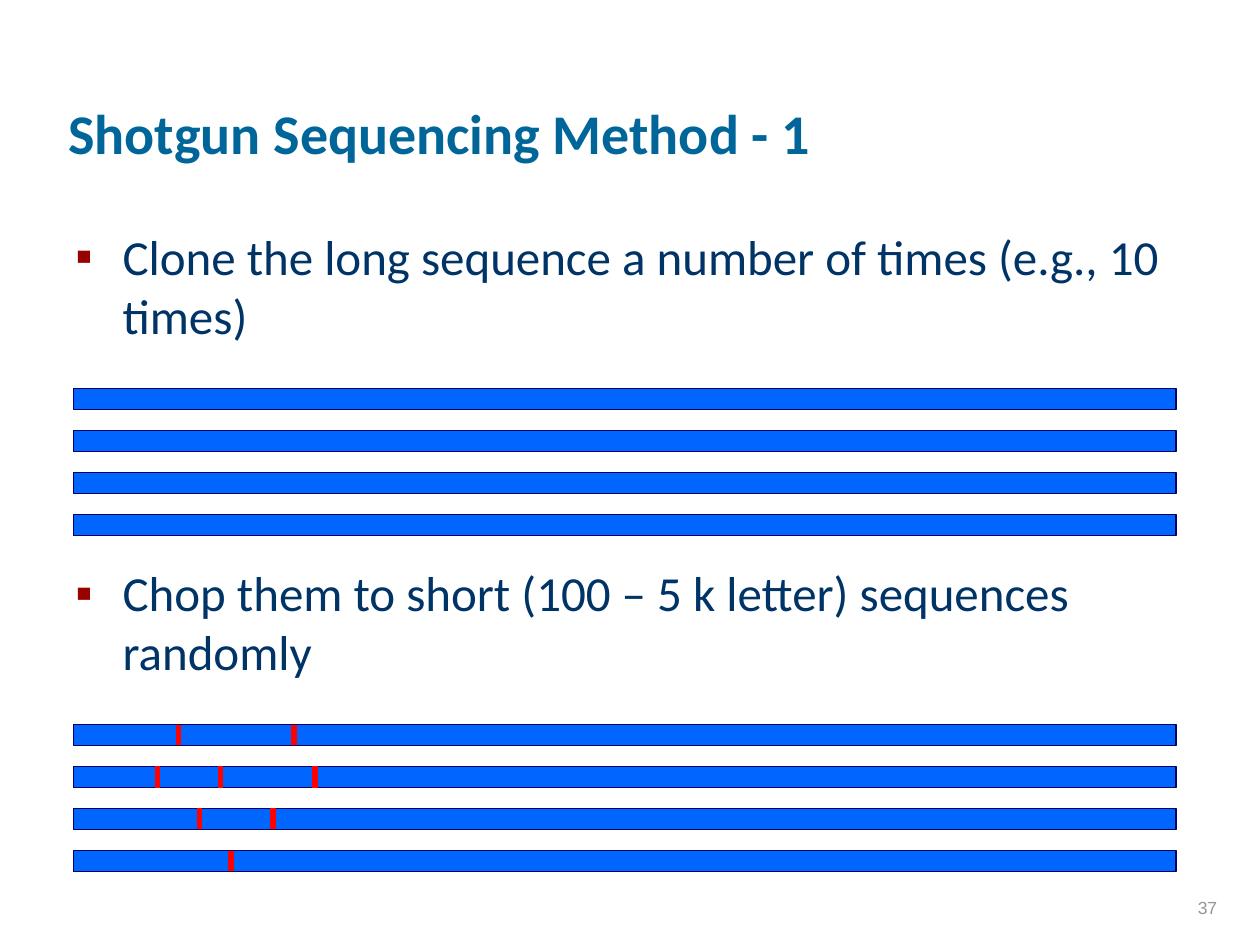
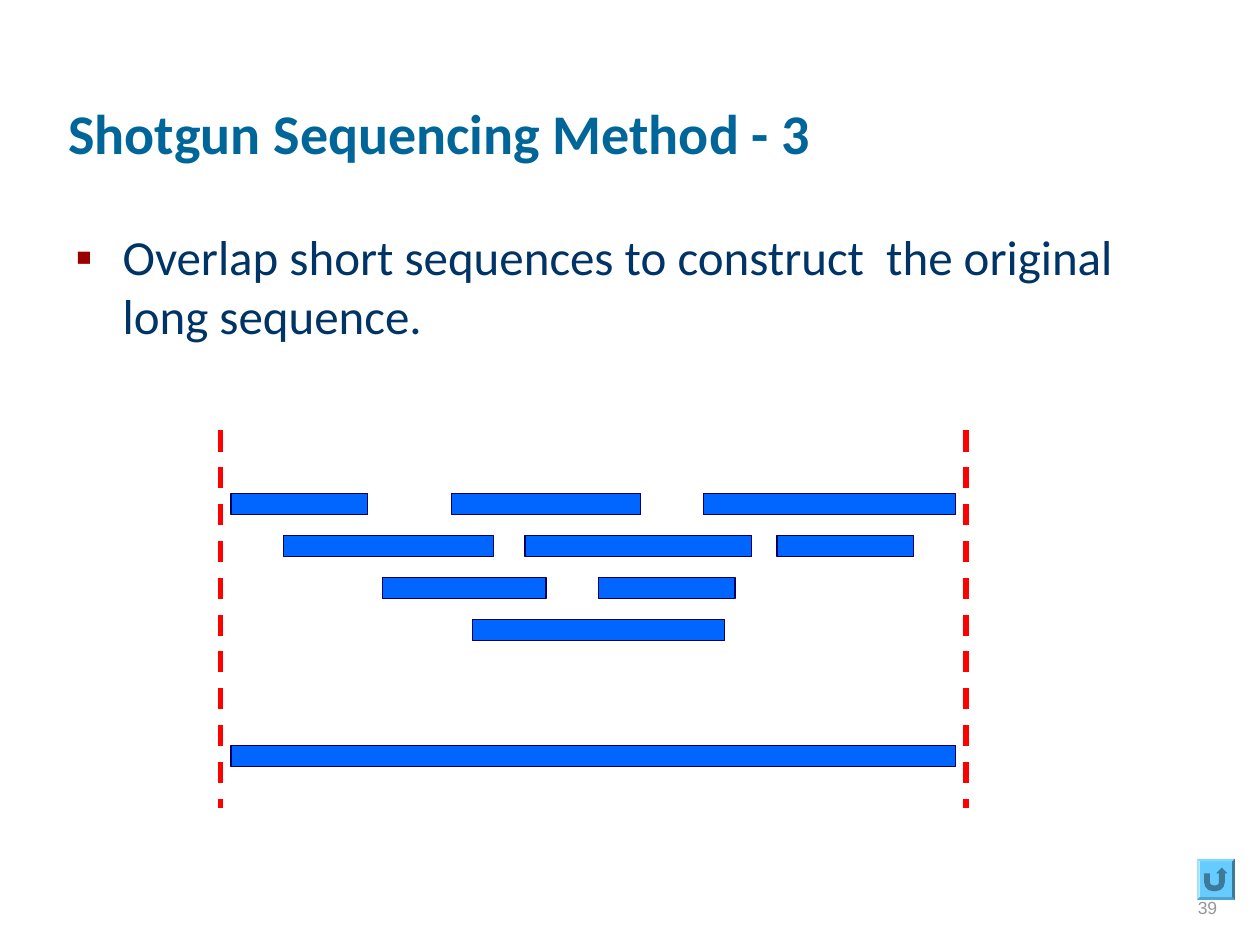
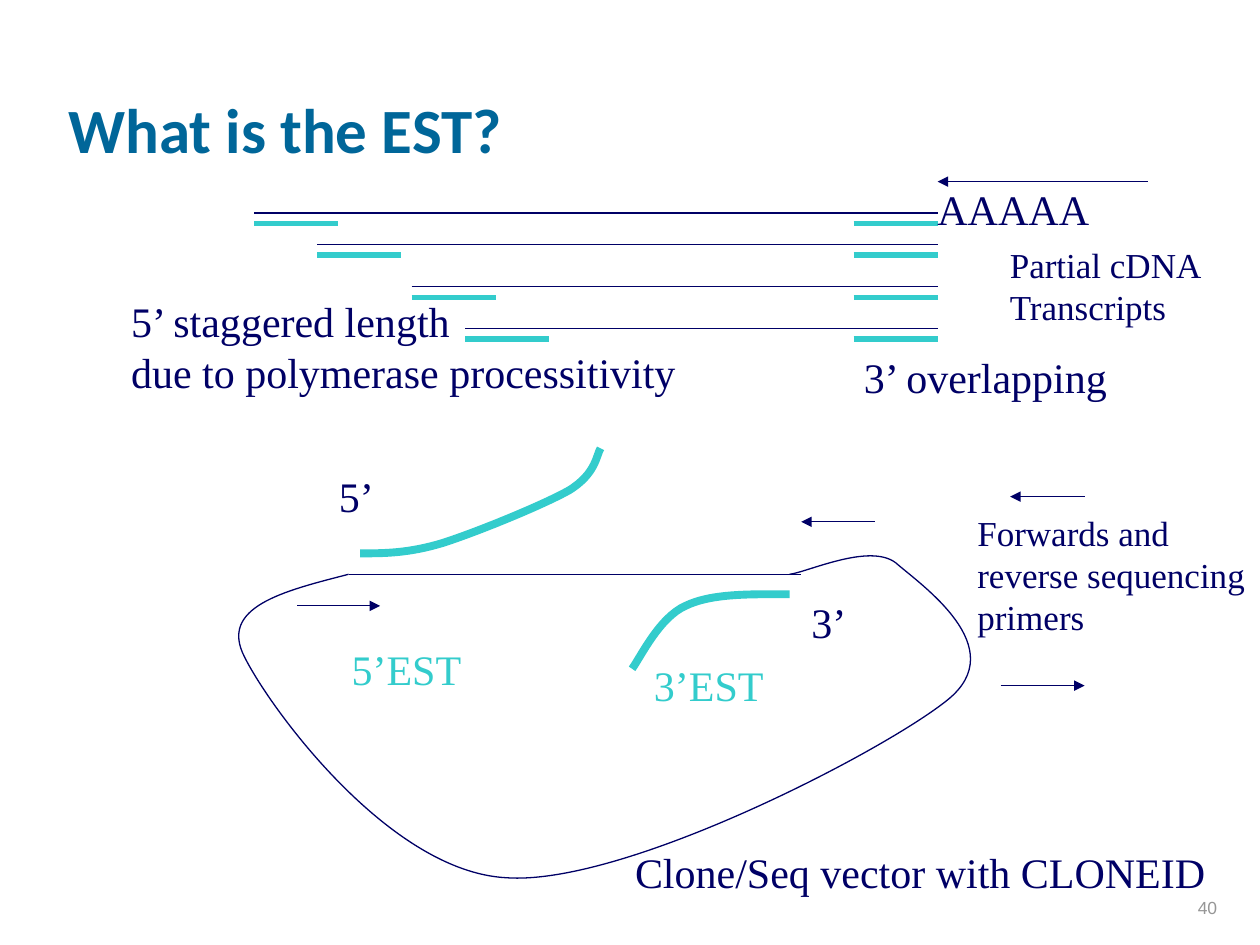
"""Build three slides on shotgun sequencing and expressed sequence tags."""
from dataclasses import dataclass
from typing import Any, NamedTuple, Optional

import lxml.etree
import pptx
import pptx.dml.color
import pptx.enum.dml
import pptx.enum.shapes
import pptx.enum.text
import pptx.oxml.ns
import pptx.util

PX = 7620
SHAPE = pptx.enum.shapes.MSO_SHAPE
ALIGN = pptx.enum.text.PP_ALIGN
ANCHOR = pptx.enum.text.MSO_ANCHOR
AUTO = pptx.enum.text.MSO_AUTO_SIZE
qn = pptx.oxml.ns.qn


@dataclass(frozen=True)
class Theme:
    """Colours, fonts, type sizes and line widths of the deck."""
    title: str = "006699"
    body: str = "003366"
    bullet: str = "990000"
    ink: str = "000066"
    strand: str = "0066FF"
    cut: str = "FF0000"
    tag: str = "33CCCC"
    button: str = "66CCFF"
    number: str = "969696"
    sans: str = "Calibri"
    serif: str = "Times New Roman"
    footer: str = "Arial"
    title_pt: int = 32
    big_title_pt: int = 36
    body_pt: int = 28
    label_pt: int = 24
    note_pt: int = 20
    number_pt: int = 10
    thin: float = 0.75
    thick: float = 3
    heavy: float = 4.5


class Box(NamedTuple):
    """Left, top, width and height in px."""
    x: int
    y: int
    w: int
    h: int


class Line(NamedTuple):
    """Straight line from one point to another in px."""
    x1: int
    y1: int
    x2: int
    y2: int


class Label(NamedTuple):
    """Serif text in a box on the EST slide."""
    box: Box
    text: str
    size: int
    color: str


class Transcript(NamedTuple):
    """Left end and height of one partial cDNA."""
    x: int
    y: int


T = Theme()
INSET = 12
STRAND_H = 20
ROW_STEP = 40
STRAND_X, STRAND_W = 70, 1050
CLONE_TOP, CHOP_TOP, OVERLAP_TOP = 370, 690, 470
CUTS = [[170, 280], [150, 210, 300], [190, 260], [220]]
FRAGMENTS = [
    [(220, 130), (430, 180), (670, 240)],
    [(270, 200), (500, 216), (740, 130)],
    [(364, 156), (570, 130)],
    [(450, 240)],
]
CDNA_RIGHT, TAG_W, TAG_DROP = 893, 80, 10
TRANSCRIPTS = [Transcript(242, 203), Transcript(302, 233),
               Transcript(392, 273), Transcript(443, 313)]
PRIMERS = [Line(283, 577, 362, 577), Line(833, 497, 763, 497),
           Line(1093, 173, 893, 173), Line(1033, 473, 962, 473),
           Line(953, 653, 1033, 653)]
VECTOR = [(332, 547), (270, 563), (208, 578), (233, 626),
          (258, 676), (371, 830), (482, 836),
          (594, 844), (841, 716), (902, 667),
          (965, 617), (877, 557), (853, 536),
          (828, 517), (769, 545), (752, 547)]
TAG_5 = [(343, 527), (366, 527), (389, 527), (422, 517),
         (456, 506), (517, 481), (542, 467),
         (568, 451), (568, 433), (572, 427)]
TAG_3 = [(752, 566), (715, 566), (678, 565), (653, 577),
         (628, 588), (610, 626), (602, 637)]
LABELS = [
    Label(Box(761, 562, 58, 60), "3’", T.label_pt, T.ink),
    Label(Box(311, 442, 58, 60), "5’", T.label_pt, T.ink),
    Label(Box(881, 169, 168, 60), "AAAAA", T.label_pt, T.ink),
    Label(Box(950, 226, 206, 92), "Partial cDNA\nTranscripts", T.note_pt, T.ink),
    Label(Box(611, 622, 128, 60), "3’EST", T.label_pt, T.tag),
    Label(Box(323, 607, 128, 60), "5’EST", T.label_pt, T.tag),
    Label(Box(593, 800, 566, 60), "Clone/Seq vector with CLONEID", T.label_pt, T.ink),
    Label(Box(919, 481, 278, 132), "Forwards and\nreverse sequencing\nprimers",
          T.note_pt, T.ink),
    Label(Box(811, 329, 258, 60), "3’ overlapping", T.label_pt, T.ink),
    Label(Box(113, 276, 542, 108),
          "5’ staggered length\ndue to polymerase processitivity", T.label_pt, T.ink),
]


def rgb(color: str) -> pptx.dml.color.RGBColor:
    """Turn a hex string into a colour."""
    return pptx.dml.color.RGBColor.from_string(color)


def emu(*lengths: int) -> list[int]:
    """Turn px into EMU."""
    return [n * PX for n in lengths]


def add_bullet(p: Any) -> None:
    """Give a paragraph a hanging square bullet."""
    pPr = p._p.get_or_add_pPr()
    pPr.set("marL", str(45 * PX))
    pPr.set("indent", str(-45 * PX))
    clr = lxml.etree.SubElement(pPr, qn("a:buClr"))
    lxml.etree.SubElement(clr, qn("a:srgbClr")).set("val", T.bullet)
    lxml.etree.SubElement(pPr, qn("a:buFont")).set("typeface", T.footer)
    lxml.etree.SubElement(pPr, qn("a:buChar")).set("char", "▪")


def write(sp: Any, text: str, *, size: int, color: str, font: str = T.sans,
          bold: bool = False, align: Any = ALIGN.LEFT, anchor: Any = ANCHOR.TOP,
          right_inset: int = INSET, bullet: bool = False) -> None:
    """Fill a shape with formatted text, one paragraph a line."""
    tf = sp.text_frame
    tf.text = text
    tf.word_wrap = True
    tf.auto_size = AUTO.NONE
    tf.vertical_anchor = anchor
    tf.margin_right = right_inset * PX
    for p in tf.paragraphs:
        p.alignment = align
        if bullet:
            add_bullet(p)
        for r in p.runs:
            r.font.name = font
            r.font.size = pptx.util.Pt(size)
            r.font.bold = bold
            r.font.color.rgb = rgb(color)


def add_text(s: Any, box: Box, text: str, **style: Any) -> None:
    """Add a text box."""
    write(s.shapes.add_textbox(*emu(*box)), text, **style)


def add_body(s: Any, box: Box, text: str) -> None:
    """Add a bulleted statement."""
    add_text(s, box, text, size=T.body_pt, color=T.body, bullet=True)


def add_slide(prs: Any, title: str, number: int, size: int = T.title_pt) -> Any:
    """Add a slide with its title and number."""
    s = prs.slides.add_slide(prs.slide_layouts[5])
    sp = s.shapes.title
    sp.left, sp.top, sp.width, sp.height = emu(53, 14, 1020, 150)
    write(sp, title, size=size, color=T.title, bold=True, anchor=ANCHOR.BOTTOM)
    add_text(s, Box(922, 820, 249, 60), str(number), size=T.number_pt,
             color=T.number, font=T.footer, align=ALIGN.RIGHT, anchor=ANCHOR.BOTTOM)
    return s


def add_shape(s: Any, kind: Any, box: Box, fill: str, line: Optional[str] = None) -> Any:
    """Add a filled preset shape."""
    sp = s.shapes.add_shape(kind, *emu(*box))
    sp.shadow.inherit = False
    sp.fill.solid()
    sp.fill.fore_color.rgb = rgb(fill)
    if line:
        sp.line.color.rgb = rgb(line)
        sp.line.width = pptx.util.Pt(T.thin)
    else:
        sp.line.fill.background()
    return sp


def add_strand(s: Any, x: int, y: int, w: int) -> None:
    """Add one sequence bar."""
    add_shape(s, SHAPE.RECTANGLE, Box(x, y, w, STRAND_H), T.strand, T.ink)


def add_line(s: Any, line: Line, color: str = T.ink, width: float = T.thin,
             dashed: bool = False, arrow: bool = False) -> None:
    """Add a straight line or arrow."""
    c = s.shapes.add_connector(pptx.enum.shapes.MSO_CONNECTOR.STRAIGHT, *emu(*line))
    c.line.color.rgb = rgb(color)
    c.line.width = pptx.util.Pt(width)
    if dashed:
        c.line.dash_style = pptx.enum.dml.MSO_LINE.DASH
    if arrow:
        lxml.etree.SubElement(c.line._get_or_add_ln(), qn("a:tailEnd")).set("type", "triangle")
    lxml.etree.SubElement(c.element.spPr, qn("a:effectLst"))


def add_curve(s: Any, points: list[tuple[int, int]], color: str, width: float) -> None:
    """Add an open curve from a start point and triples of Bezier points."""
    fb = s.shapes.build_freeform(*points[0], scale=PX)
    fb.add_line_segments(points[1:], close=False)
    sp = fb.convert_to_shape()
    sp.shadow.inherit = False
    sp.fill.background()
    sp.line.color.rgb = rgb(color)
    sp.line.width = pptx.util.Pt(width)
    outline = next(sp.element.iter(qn("a:path")))
    steps = outline.findall(qn("a:lnTo"))
    for i in range(0, len(steps), 3):
        bezier = lxml.etree.SubElement(outline, qn("a:cubicBezTo"))
        for step in steps[i:i + 3]:
            bezier.append(step[0])
            outline.remove(step)


def add_return_button(s: Any) -> None:
    """Add the bevelled return button."""
    frame = add_shape(s, SHAPE.BEVEL, Box(1140, 818, 36, 39), T.button)
    frame.adjustments[0] = 0.07
    add_shape(s, SHAPE.ACTION_BUTTON_RETURN, Box(1143, 821, 30, 33), T.button)


def build_chop(prs: Any) -> None:
    """Show the clones and where they are cut."""
    s = add_slide(prs, "Shotgun Sequencing Method - 1", 37)
    add_body(s, Box(60, 210, 1073, 178),
             "Clone the long sequence a number of times (e.g., 10 times)")
    add_body(s, Box(60, 530, 1080, 140),
             "Chop them to short (100 – 5 k letter) sequences randomly")
    for i, cuts in enumerate(CUTS):
        add_strand(s, STRAND_X, CLONE_TOP + i * ROW_STEP, STRAND_W)
        y = CHOP_TOP + i * ROW_STEP
        add_strand(s, STRAND_X, y, STRAND_W)
        for x in cuts:
            add_line(s, Line(x, y, x, y + STRAND_H), T.cut, T.thick)


def build_overlap(prs: Any) -> None:
    """Show fragments overlapping into the long sequence."""
    s = add_slide(prs, "Shotgun Sequencing Method - 3", 39)
    add_body(s, Box(60, 210, 1073, 157),
             "Overlap short sequences to construct  the original long sequence.")
    for i, row in enumerate(FRAGMENTS):
        for x, w in row:
            add_strand(s, x, OVERLAP_TOP + i * ROW_STEP, w)
    add_strand(s, 220, 710, 690)
    for x in (210, 920):
        add_line(s, Line(x, 410, x, 770), T.cut, T.thick, dashed=True)
    add_return_button(s)


def build_est(prs: Any) -> None:
    """Show transcripts, the cloning vector and both ESTs."""
    s = add_slide(prs, "What is the EST?", 40, T.big_title_pt)
    for t in TRANSCRIPTS:
        add_line(s, Line(t.x, t.y, CDNA_RIGHT, t.y))
        for x in (t.x, CDNA_RIGHT - TAG_W):
            add_line(s, Line(x, t.y + TAG_DROP, x + TAG_W, t.y + TAG_DROP), T.tag, T.thick)
    add_line(s, Line(332, 547, 763, 547))
    add_curve(s, VECTOR, T.ink, T.thin)
    for curve in (TAG_5, TAG_3):
        add_curve(s, curve, T.tag, T.heavy)
    for primer in PRIMERS:
        add_line(s, primer, arrow=True)
    for label in LABELS:
        add_text(s, label.box, label.text, size=label.size, color=label.color,
                 font=T.serif, right_inset=0)


def main() -> None:
    """Build and save the deck."""
    prs = pptx.Presentation()
    prs.slide_width, prs.slide_height = emu(1200, 900)
    build_chop(prs)
    build_overlap(prs)
    build_est(prs)
    prs.save("out.pptx")


if __name__ == "__main__":
    main()
